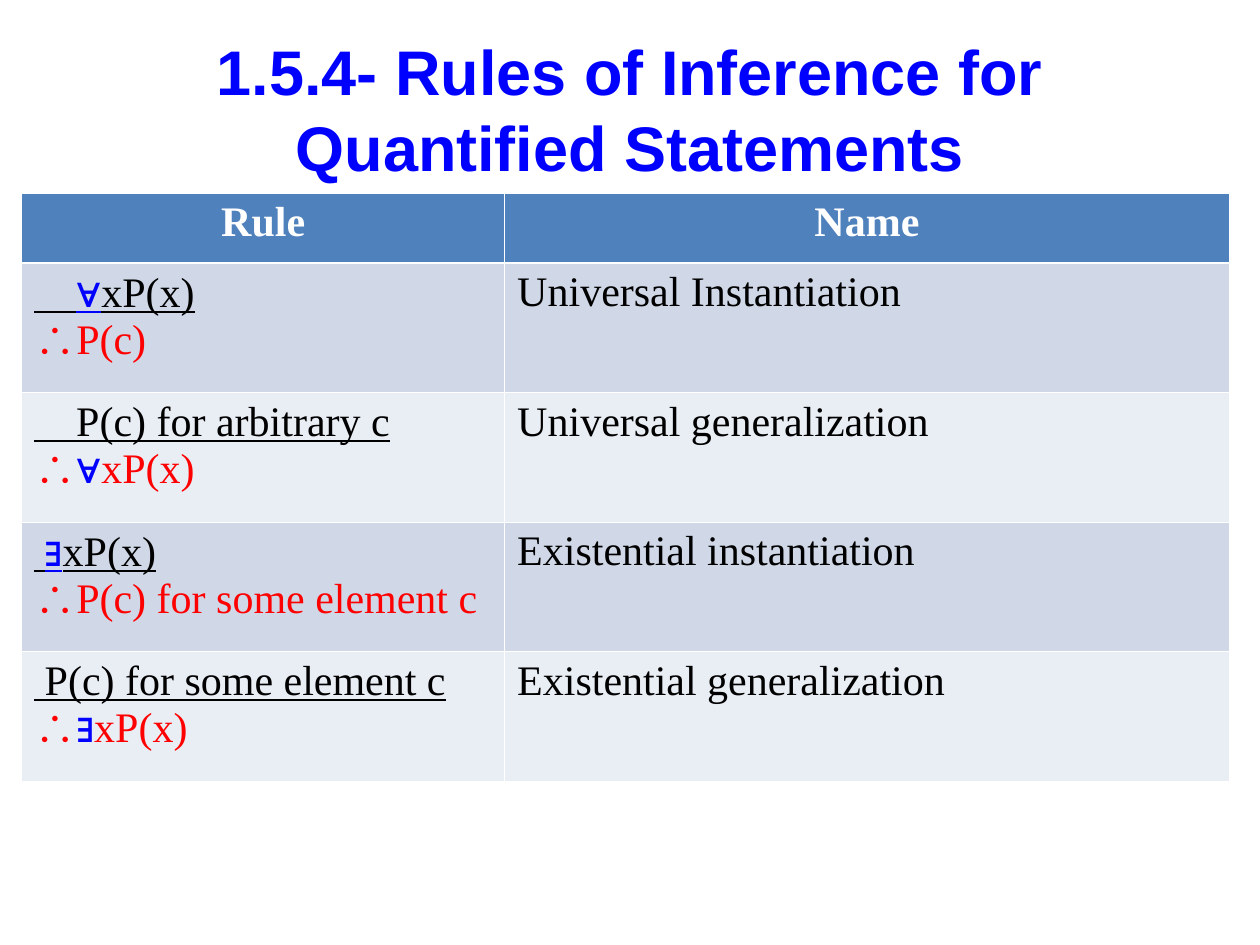
from dataclasses import dataclass

from lxml import etree
from pptx import Presentation
from pptx.dml.color import RGBColor
from pptx.enum.text import MSO_ANCHOR, PP_ALIGN
from pptx.oxml.ns import qn
from pptx.util import Pt

CENTER, LEFT = PP_ALIGN.CENTER, PP_ALIGN.LEFT
MIDDLE = MSO_ANCHOR.MIDDLE
TITLE_ONLY = 5
SANS, SERIF = "Arial", "Times New Roman"
BLUE, RED, BLACK, WHITE = "0000FF", "FF0000", "000000", "FFFFFF"
HEADER_FILL, BAND_FILLS = "4F81BD", ("D0D8E8", "E9EDF4")
SYMBOL_COLORS = {"∀": BLUE, "∃": BLUE, "∴": RED}
THIN, THICK = 0.45, 1.47
COL_WIDTHS = (276, 414)
HEADER_HEIGHT, ROW_HEIGHT = 40.25, 74


@dataclass
class Rule:
    premise: str
    conclusion: str
    name: str


RULES = [
    Rule("    ∀xP(x)", "∴P(c)", "Universal Instantiation"),
    Rule("    P(c) for arbitrary c", "∴∀xP(x)", "Universal generalization"),
    Rule(" ∃xP(x)", "∴P(c) for some element c", "Existential instantiation"),
    Rule(" P(c) for some element c", "∴∃xP(x)", "Existential generalization"),
]


def rgb(color: str) -> RGBColor:
    return RGBColor.from_string(color)


def split_symbols(text: str) -> list[str]:
    """Separate each logic symbol from the plain text around it."""
    for symbol in SYMBOL_COLORS:
        text = text.replace(symbol, f"\n{symbol}\n")
    return [part for part in text.split("\n") if part]


def write(p, text: str, color: str, bold: bool = False,
          underline: bool = False, align=LEFT) -> None:
    p.alignment = align
    p.font.size, p.font.bold, p.font.underline = Pt(24), bold, underline
    for part in split_symbols(text):
        r = p.add_run()
        r.text = part
        r.font.size, r.font.bold, r.font.underline = Pt(24), bold, underline
        r.font.name = SANS if part in SYMBOL_COLORS else SERIF
        r.font.color.rgb = rgb(SYMBOL_COLORS.get(part, color))


def style_cell(cell, fill: str, top: float = THIN, bottom: float = THIN) -> None:
    tc_pr = cell._tc.get_or_add_tcPr()
    for side, width in (("L", THIN), ("R", THIN), ("T", top), ("B", bottom)):
        ln = etree.SubElement(tc_pr, qn(f"a:ln{side}"), w=str(Pt(width)))
        solid = etree.SubElement(ln, qn("a:solidFill"))
        etree.SubElement(solid, qn("a:srgbClr"), val=WHITE)
    cell.fill.solid()
    cell.fill.fore_color.rgb = rgb(fill)


def add_title(s, text: str) -> None:
    title = s.shapes.title
    title.left, title.top, title.width, title.height = Pt(36), Pt(21.6), Pt(648), Pt(80.64)
    tf = title.text_frame
    tf.text, tf.vertical_anchor, tf.word_wrap = text, MIDDLE, True
    p = tf.paragraphs[0]
    p.alignment = CENTER
    p.font.name, p.font.size, p.font.bold = SANS, Pt(36), True
    p.font.color.rgb = rgb(BLUE)


def add_rules_table(s, rules: list[Rule]) -> None:
    height = HEADER_HEIGHT + ROW_HEIGHT * len(rules)
    table = s.shapes.add_table(len(rules) + 1, len(COL_WIDTHS), Pt(12.4), Pt(110.2),
                               Pt(sum(COL_WIDTHS)), Pt(height)).table
    for column, width in zip(table.columns, COL_WIDTHS):
        column.width = Pt(width)
    for i, row in enumerate(table.rows):
        row.height = Pt(ROW_HEIGHT if i else HEADER_HEIGHT)

    # Header row
    for cell, heading in zip(table.rows[0].cells, ("Rule", "Name")):
        style_cell(cell, HEADER_FILL, bottom=THICK)
        write(cell.text_frame.paragraphs[0], heading, WHITE, bold=True, align=CENTER)

    # One banded row per rule
    for i, rule in enumerate(rules):
        rule_cell, name_cell = table.rows[i + 1].cells
        for cell in (rule_cell, name_cell):
            style_cell(cell, BAND_FILLS[i % 2], top=THIN if i else THICK)
        tf = rule_cell.text_frame
        write(tf.paragraphs[0], rule.premise, BLACK, underline=True)
        write(tf.add_paragraph(), rule.conclusion, RED)
        write(name_cell.text_frame.paragraphs[0], rule.name, BLACK)


def main() -> None:
    prs = Presentation()
    prs.slide_width, prs.slide_height = Pt(720), Pt(540)
    s = prs.slides.add_slide(prs.slide_layouts[TITLE_ONLY])
    add_title(s, "1.5.4- Rules of Inference for Quantified Statements")
    add_rules_table(s, RULES)
    prs.save("out.pptx")


if __name__ == "__main__":
    main()
